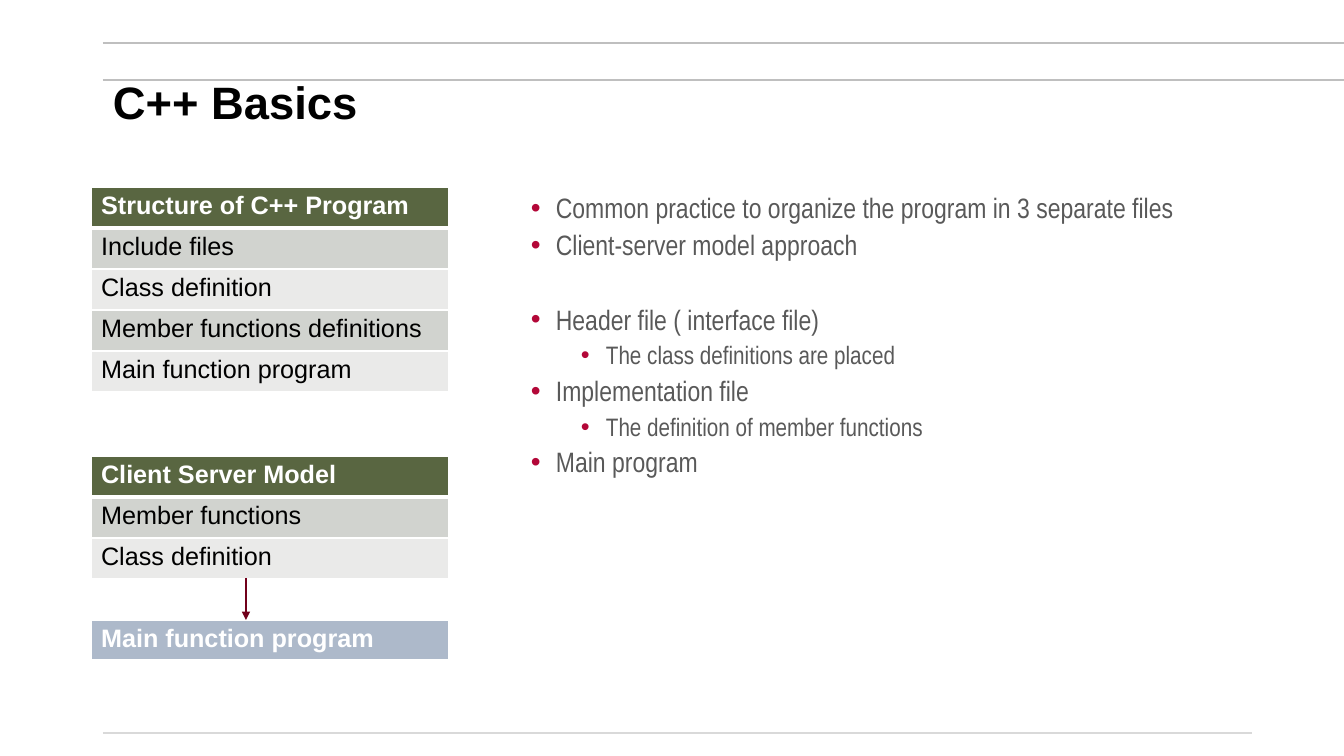
from lxml import etree
from pptx import Presentation
from pptx import util as u
from pptx.dml.color import RGBColor
from pptx.enum import shapes, text
from pptx.oxml import ns

TITLE = "C++ Basics"
TABLES = [
    {"top": 187, "header": "Structure of C++ Program", "header_fill": "olive",
     "rows": ["Include files", "Class definition",
              "Member functions definitions", "Main function program"]},
    {"top": 456, "header": "Client Server Model", "header_fill": "olive",
     "rows": ["Member functions", "Class definition"]},
    {"top": 620, "header": "Main function program", "header_fill": "blue",
     "rows": []},
]
BULLETS = [
    (1, "Common practice to organize the program in 3 separate files", 5),
    (1, "Client-server model approach", 5),
    (1, "Header file ( interface file)", 31.7),
    (2, "The class definitions are placed", 5),
    (1, "Implementation file", 5),
    (2, "The definition of member functions", 5),
    (1, "Main program", 5),
]
RULES = [((103, 80), (1344, 80), "rule"), ((103, 43), (1344, 43), "rule"),
         ((103, 733), (1252, 733), "footer_rule")]
ARROW = ((246, 578), (246, 620), "arrow")
TITLE_BOX = (103, 85, 1148, 39)
BULLET_BOX = (470, 152, 805, 538)
BULLET_TOP_INSET = 42
TABLE_LEFT, TABLE_WIDTH, ROW_HEIGHT = 91, 358, 41
BULLET_INDENT = {1: 76, 2: 126}
HANGING = 25

THEME = {
    "colors": {"rule": "BFBFBF", "footer_rule": "D9D9D9", "arrow": "71001B",
               "title": "000000", "body": "595959", "bullet": "B30738",
               "olive": "596641", "blue": "ADB9CA", "white": "FFFFFF",
               "cell": "000000", "band_dark": "D1D3CF", "band_light": "EAEAE9"},
    "sizes": {"title": 32.4, "table": 18, 1: 20, 2: 18},
    "fonts": {"main": "Arial", "body": "Arial Narrow"},
    "lines": {"rule": 1.5, "border": 1, "header_border": 3},
}


def px(length):
    return u.Emu(round(length * 914400 / 100.8))


def color(name):
    return RGBColor.from_string(THEME["colors"][name])


def add_xml(parent, tag, **attributes):
    return etree.SubElement(parent, ns.qn(tag), attributes)


def style(paragraph, size, ink, font="main", bold=False):
    for run in paragraph.runs:
        run.font.size = u.Pt(THEME["sizes"][size])
        run.font.name = THEME["fonts"][font]
        run.font.color.rgb = color(ink)
        run.font.bold = bold


def add_line(slide, start, end, ink):
    line = slide.shapes.add_connector(
        shapes.MSO_CONNECTOR.STRAIGHT, *map(px, start + end))
    line.line.color.rgb = color(ink)
    line.line.width = u.Pt(THEME["lines"]["rule"])
    add_xml(line._element.spPr, "a:effectLst")
    return line


def add_text_box(slide, box):
    frame = slide.shapes.add_textbox(*map(px, box)).text_frame
    frame.word_wrap = True
    return frame


def add_borders(cell, row):
    properties = cell._tc.get_or_add_tcPr()
    widths = {"L": "border", "R": "border",
              "T": "header_border" if row == 1 else "border",
              "B": "header_border" if row == 0 else "border"}
    for side, width in widths.items():
        edge = add_xml(properties, f"a:ln{side}",
                       w=str(u.Pt(THEME["lines"][width])))
        fill = add_xml(edge, "a:solidFill")
        add_xml(fill, "a:srgbClr", val=THEME["colors"]["white"])


def add_program_table(slide, content):
    labels = [content["header"], *content["rows"]]
    table = slide.shapes.add_table(
        len(labels), 1, px(TABLE_LEFT), px(content["top"]),
        px(TABLE_WIDTH), px(ROW_HEIGHT * len(labels))).table
    for row, label in enumerate(labels):
        table.rows[row].height = px(ROW_HEIGHT)
        cell = table.cell(row, 0)
        cell.text_frame.text = label
        header = row == 0
        style(cell.text_frame.paragraphs[0], "table",
              "white" if header else "cell", bold=header)
        add_borders(cell, row)
        band = "band_dark" if row % 2 else "band_light"
        cell.fill.solid()
        cell.fill.fore_color.rgb = color(content["header_fill"] if header else band)


def add_title(slide):
    frame = add_text_box(slide, TITLE_BOX)
    frame.vertical_anchor = text.MSO_ANCHOR.MIDDLE
    frame.text = TITLE
    frame.paragraphs[0].line_spacing = 0.9
    style(frame.paragraphs[0], "title", "title", bold=True)


def add_bullets(slide):
    frame = add_text_box(slide, BULLET_BOX)
    frame.margin_top = px(BULLET_TOP_INSET)
    frame.text = "\n".join(label for _, label, _ in BULLETS)
    for paragraph, (level, _, gap) in zip(frame.paragraphs, BULLETS):
        paragraph.level = level
        paragraph.line_spacing = 0.9
        paragraph.space_before = u.Pt(gap)
        style(paragraph, level, "body", "body")
        properties = paragraph._p.get_or_add_pPr()
        properties.set("marL", str(px(BULLET_INDENT[level])))
        properties.set("indent", str(px(-HANGING)))
        bullet_color = add_xml(properties, "a:buClr")
        add_xml(bullet_color, "a:srgbClr", val=THEME["colors"]["bullet"])
        add_xml(properties, "a:buFont", typeface=THEME["fonts"]["main"])
        add_xml(properties, "a:buChar", char="•")


def main():
    deck = Presentation()
    deck.slide_width, deck.slide_height = px(1344), px(756)
    slide = deck.slides.add_slide(deck.slide_layouts[6])
    for rule in RULES:
        add_line(slide, *rule)
    add_title(slide)
    add_bullets(slide)
    for content in TABLES:
        add_program_table(slide, content)
    arrow = add_line(slide, *ARROW)
    add_xml(arrow.line._get_or_add_ln(), "a:tailEnd", type="triangle")
    deck.save("out.pptx")


if __name__ == "__main__":
    main()
